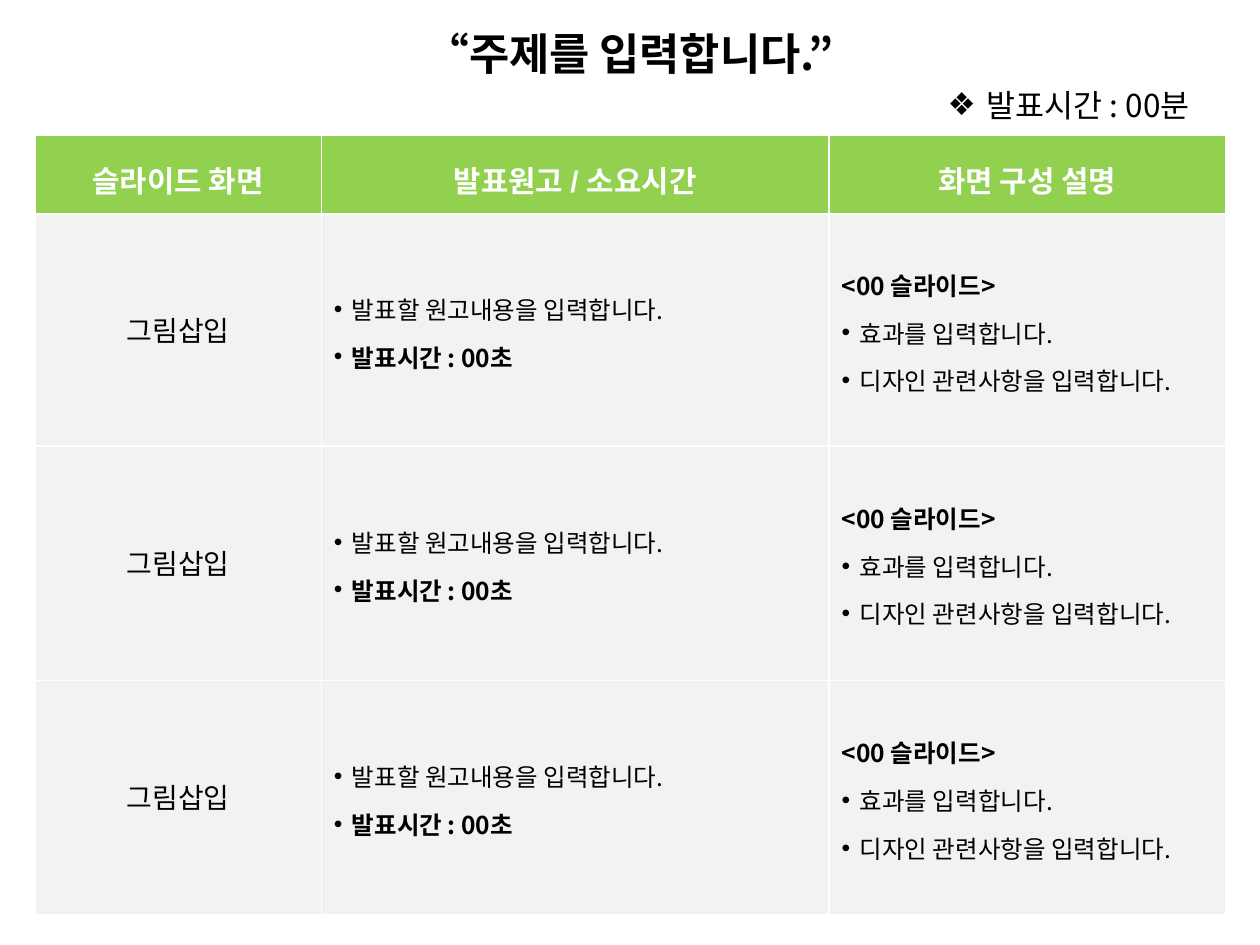
from dataclasses import dataclass
from typing import Optional

from lxml.etree import SubElement
from pptx import Presentation
from pptx.dml.color import RGBColor
from pptx.enum.text import MSO_ANCHOR as Anchor, MSO_AUTO_SIZE as AutoSize, PP_ALIGN as Align
from pptx.oxml.ns import qn
from pptx.util import Pt

GREEN = RGBColor(0x92, 0xD0, 0x50)
GRAY = RGBColor(0xF2, 0xF2, 0xF2)
WHITE = RGBColor(0xFF, 0xFF, 0xFF)
BLACK = RGBColor(0, 0, 0)
KOREAN, LATIN = "Noto Sans CJK KR", "Arial"

COLUMN_WIDTHS = (163.44, 290.16, 226.8)
ROW_HEIGHTS = (45.36, 132.48, 133.92, 133.92)


@dataclass(frozen=True)
class Piece:
    text: str
    bold: bool = False


@dataclass(frozen=True)
class Line:
    pieces: tuple[Piece, ...]
    size: float = 14
    align: Align = Align.LEFT
    spacing: float = 1.2
    before: float = 0.2
    bullet: Optional[str] = None
    indent: float = 7.2
    font: str = KOREAN
    color: RGBColor = BLACK


def header(text: str) -> tuple[Line, ...]:
    return (Line((Piece(text, True),), 17, Align.CENTER, 1.3, font=LATIN, color=WHITE),)


HEADERS = tuple(map(header, ("슬라이드 화면", "발표원고 / 소요시간", "화면 구성 설명")))
SLIDE_ROW = (
    (Line((Piece("그림삽입"),), 16, Align.CENTER, 1.0),),
    (
        Line((Piece(" 발표할 원고내용을 입력합니다."),), bullet="•"),
        Line((Piece(" "), Piece("발표시간 : 00초 ", True)), bullet="•"),
    ),
    (
        Line((Piece("<00 슬라이드>", True),)),
        Line((Piece(" 효과를 입력합니다."),), bullet="•"),
        Line((Piece(" 디자인 관련사항을 입력합니다."),), bullet="•"),
    ),
)


def write_lines(frame, lines: tuple[Line, ...]) -> None:
    for number, line in enumerate(lines):
        paragraph = frame.paragraphs[0] if number == 0 else frame.add_paragraph()
        paragraph.alignment = line.align
        paragraph.line_spacing = line.spacing
        paragraph.space_before = Pt(line.size * line.before)
        if line.bullet:
            properties = paragraph._p.get_or_add_pPr()
            properties.set("marL", str(Pt(line.indent)))
            properties.set("indent", str(-Pt(line.indent)))
            SubElement(properties, qn("a:buFont"), typeface=LATIN)
            SubElement(properties, qn("a:buChar"), char=line.bullet)
        for piece in line.pieces:
            run = paragraph.add_run()
            run.text = piece.text
            run.font.size = Pt(line.size)
            run.font.bold = piece.bold
            run.font.name = line.font
            run.font.color.rgb = line.color
            SubElement(run._r.get_or_add_rPr(), qn("a:ea"), typeface=KOREAN)


def place_text(holder, left: float, top: float, width: float, height: float, line: Line) -> None:
    holder.left, holder.top, holder.width, holder.height = map(Pt, (left, top, width, height))
    frame = holder.text_frame
    frame.word_wrap = False
    frame.auto_size = AutoSize.NONE
    frame.vertical_anchor = Anchor.TOP
    write_lines(frame, (line,))


def fill_cell(cell, lines: tuple[Line, ...], color: RGBColor) -> None:
    cell.vertical_anchor = Anchor.MIDDLE
    cell.margin_left = cell.margin_right = Pt(7.2)
    cell.margin_top, cell.margin_bottom = Pt(2.88), Pt(4.32)
    # Borders precede the fill in the cell properties
    for side in ("L", "R", "T", "B"):
        border = SubElement(cell._tc.get_or_add_tcPr(), qn(f"a:ln{side}"), w=str(Pt(1)))
        SubElement(SubElement(border, qn("a:solidFill")), qn("a:srgbClr"), val=str(WHITE))
    cell.fill.solid()
    cell.fill.fore_color.rgb = color
    write_lines(cell.text_frame, lines)


presentation = Presentation()
presentation.slide_width, presentation.slide_height = Pt(720), Pt(540)
slide = presentation.slides.add_slide(presentation.slide_layouts[1])

# Script table
script_table = slide.shapes.add_table(
    len(ROW_HEIGHTS), len(COLUMN_WIDTHS), Pt(20.16), Pt(77.04),
    Pt(sum(COLUMN_WIDTHS)), Pt(sum(ROW_HEIGHTS))).table
for column, width in zip(script_table.columns, COLUMN_WIDTHS):
    column.width = Pt(width)
for row_number, (row, height) in enumerate(zip(script_table.rows, ROW_HEIGHTS)):
    row.height = Pt(height)
    contents, color = (SLIDE_ROW, GRAY) if row_number else (HEADERS, GREEN)
    for cell, lines in zip(row.cells, contents):
        fill_cell(cell, lines, color)

# Topic and total presentation time
topic, total_time = slide.placeholders
place_text(topic, 231.84, 11.52, 255.6, 37.44,
           Line((Piece("“주제를 입력합니다.”", True),), 25, Align.CENTER, 1.0, 0))
place_text(total_time, 534.24, 45.36, 164.88, 28.8,
           Line((Piece("발표시간 : 00분"),), 18, spacing=1.0, before=0, bullet="❖", indent=22.5))

presentation.save("out.pptx")
